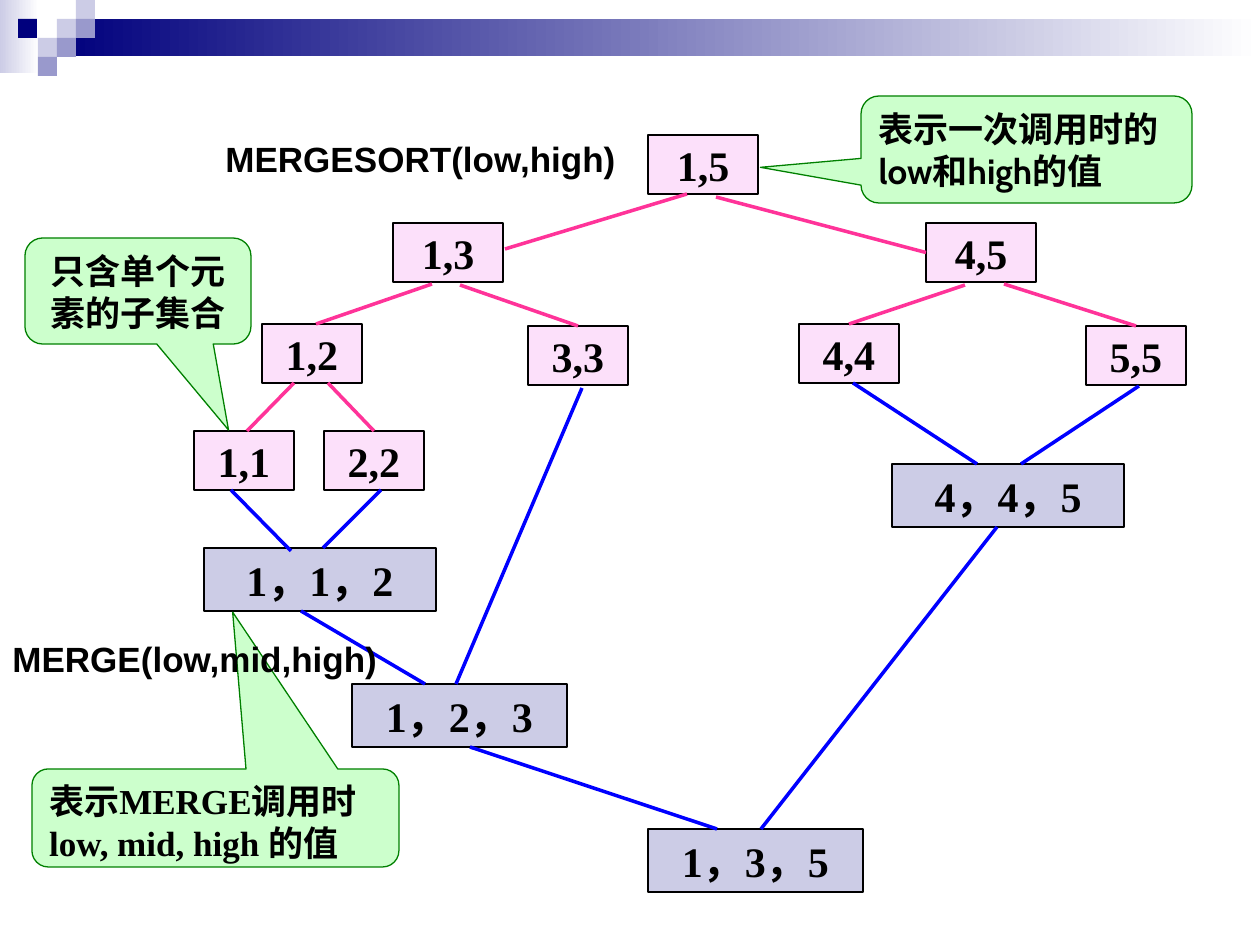
from lxml.etree import SubElement
from pptx import Presentation
from pptx.dml.color import RGBColor
from pptx.enum.shapes import MSO_CONNECTOR as Link, MSO_SHAPE as Shape
from pptx.enum.text import MSO_ANCHOR as Anchor, MSO_AUTO_SIZE as Fit, PP_ALIGN as Align
from pptx.oxml.ns import qn
from pptx.util import Emu, Pt

SCALE = 914400 / 126
TOP, LEFT = 0, 1
COLORS = {"ink": "000000", "navy": "00007D", "white": "FFFFFF", "pale": "CCCCE6",
          "mid": "9999CC", "pink": "FCE0FA", "rose": "FF3399", "blue": "0000FF",
          "mint": "CCFFCC", "green": "008000"}


def px(*nums):
    return [Emu(round(n * SCALE)) for n in nums]


def tint(name):
    return RGBColor.from_string(COLORS[name])


def write(shape, text, size=24, font="Times New Roman", align=Align.LEFT,
          anchor=Anchor.TOP, wrap=True, fit=Fit.NONE):
    frame = shape.text_frame
    frame.word_wrap = wrap
    frame.auto_size = fit
    frame.vertical_anchor = anchor
    para = frame.paragraphs[0]
    para.alignment = align
    run = para.add_run()
    run.text = text
    run.font.size, run.font.name, run.font.bold = Pt(size), font, True
    run.font.color.rgb = tint("ink")


class Board:
    def __init__(self, slide):
        self.shapes = slide.shapes
        self.nodes = {}

    def block(self, spot, fill, line=None, kind=Shape.RECTANGLE):
        shape = self.shapes.add_shape(kind, *px(*spot))
        shape.shadow.inherit = False
        if isinstance(fill, tuple):
            shape.fill.gradient()
            shape.fill.gradient_angle = 0
            for stop, name in zip(shape.fill.gradient_stops, fill):
                stop.color.rgb = tint(name)
        else:
            shape.fill.solid()
            shape.fill.fore_color.rgb = tint(fill)
        if line:
            shape.line.color.rgb = tint(line)
            shape.line.width = Pt(0.75)
        else:
            shape.line.fill.background()
        return shape

    def node(self, text, spot, fill):
        shape = self.block(spot, fill, "ink")
        write(shape, text, align=Align.CENTER, anchor=Anchor.MIDDLE, wrap=False)
        self.nodes[text] = shape

    def edge(self, ends, color, goal=None, side=TOP):
        line = self.shapes.add_connector(Link.STRAIGHT, *px(*ends))
        line.line.color.rgb = tint(color)
        line.line.width = Pt(2)
        SubElement(line._element.spPr, qn("a:effectLst"))
        if goal:
            line.end_connect(self.nodes[goal], side)

    def callout(self, text, spot, tip, **style):
        shape = self.block(spot, "mint", "green", Shape.ROUNDED_RECTANGULAR_CALLOUT)
        for i, value in enumerate((*tip, 0.167)):
            shape.adjustments[i] = value
        write(shape, text, size=20, **style)

    def label(self, text, spot):
        write(self.shapes.add_textbox(*px(*spot)), text, size=20, font="Arial",
              wrap=False, fit=Fit.SHAPE_TO_FIT_TEXT)


deck = Presentation()
deck.slide_width, deck.slide_height = px(1260, 945)
board = Board(deck.slides.add_slide(deck.slide_layouts[6]))

# Header band and squares
board.block((0, 0, 39, 73), ("pale", "white"))
board.block((57, 19, 1203, 37), ("navy", "white"))
for x, y, fill in [(57, 19, "pale"), (76, 0, "pale"), (76, 19, "mid"), (38, 38, "pale"),
                   (18, 19, "navy"), (57, 38, "mid"), (38, 57, "mid")]:
    board.block((x, y, 19, 19), fill)

# Calls of the sort, split down the tree
for text, x, y, w in [("1,5", 648, 135, 110), ("4,5", 926, 223, 110), ("1,3", 393, 223, 110),
                      ("5,5", 1086, 326, 100), ("4,4", 799, 324, 100), ("3,3", 528, 326, 100),
                      ("1,2", 262, 324, 100), ("1,1", 194, 431, 100), ("2,2", 324, 431, 100)]:
    board.node(text, (x, y, w, 59), "pink")
for ends, *goal in [((687, 194, 505, 249),), ((432, 284, 316, 324),), ((294, 383, 247, 431),),
                    ((328, 383, 374, 431), "2,2"), ((460, 285, 578, 326), "3,3"),
                    ((716, 197, 926, 253), "4,5", LEFT), ((965, 285, 849, 324), "4,4"),
                    ((1004, 284, 1136, 326), "5,5")]:
    board.edge(ends, "rose", *goal)

# Notes on the calls
board.callout("表示一次调用时的low和high的值", (861, 96, 331, 107), (-0.804, 0.167), font="Cabin")
board.callout("只含单个元素的子集合", (25, 238, 226, 106), (0.401, 1.311), font="Cabin",
              align=Align.CENTER)

# Merges, joined back down to the root
for text, x, y, w in [("1，1，2", 204, 548, 232), ("4，4，5", 892, 464, 232),
                      ("1，2，3", 352, 684, 215), ("1，3，5", 648, 829, 215)]:
    board.node(text, (x, y, w, 63), "pale")
for ends in [(231, 490, 291, 551), (381, 490, 323, 548), (853, 383, 977, 464),
             (1139, 386, 1021, 464), (301, 611, 425, 684), (582, 388, 456, 684),
             (470, 747, 717, 829), (997, 527, 761, 829)]:
    board.edge(ends, "blue")

# Merge note and labels
board.callout("表示MERGE调用时low, mid, high 的值", (32, 769, 367, 98), (0.047, -2.1))
board.label("MERGESORT(low,high)", (213, 131, 417, 55))
board.label("MERGE(low,mid,high)", (0, 631, 391, 55))

deck.save("out.pptx")
